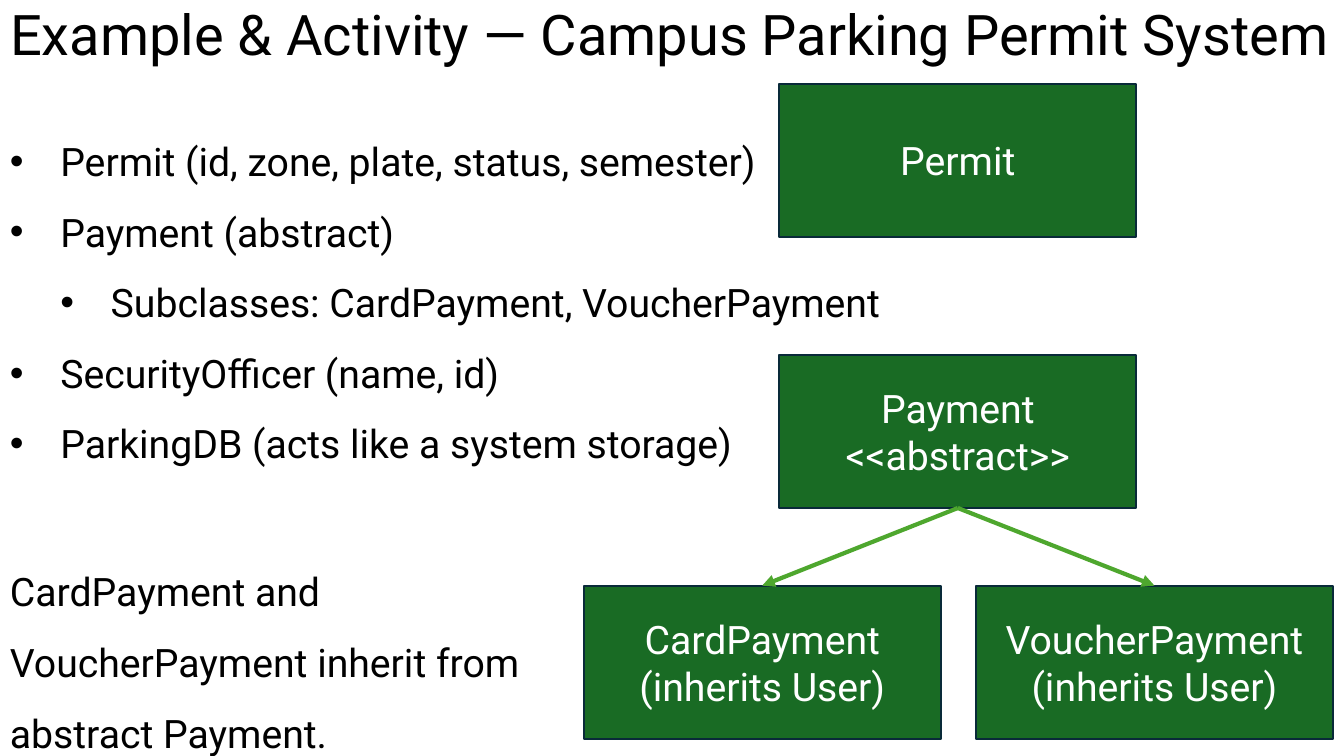
from lxml import etree
from pptx import Presentation
from pptx import util as u
from pptx.dml.color import RGBColor
from pptx.enum import shapes, text
from pptx.oxml import ns

COLORS = {"text": "000000", "box": "196B24", "edge": "092A39",
          "label": "FFFFFF", "arrow": "4EA72E"}
FONT = "Roboto"
BOX_W, BOX_H = 3.54, 1.52
TOP, BOTTOM = 0, 2

CLASSES = [
    ("Permit (id, zone, plate, status, semester)", 0),
    ("Payment (abstract)", 0),
    ("Subclasses: CardPayment, VoucherPayment", 1),
    ("SecurityOfficer (name, id)", 0),
    ("ParkingDB (acts like a system storage)", 0),
]


def rgb(name):
    return RGBColor.from_string(COLORS[name])


def add_run(p, content, color="text", size=28):
    r = p.add_run()
    r.text = content
    r.font.name = FONT
    r.font.size = u.Pt(size)
    r.font.color.rgb = rgb(color)


def add_bullet(p, level):
    p.level = level
    pPr = p._p.get_or_add_pPr()
    pPr.set("marL", str(u.Inches(0.5 * (level + 1))))
    pPr.set("indent", str(u.Inches(-0.5)))
    etree.SubElement(pPr, ns.qn("a:buFont")).set("typeface", "Arial")
    etree.SubElement(pPr, ns.qn("a:buChar")).set("char", "•")


def place_title(s, left, top, width, height, content):
    sp = s.shapes.title
    sp.left, sp.top = u.Inches(left), u.Inches(top)
    sp.width, sp.height = u.Inches(width), u.Inches(height)
    tf = sp.text_frame
    tf.auto_size = text.MSO_AUTO_SIZE.NONE
    tf.vertical_anchor = text.MSO_ANCHOR.BOTTOM
    p = tf.paragraphs[0]
    p.alignment = text.PP_ALIGN.LEFT
    p.line_spacing = 0.9
    add_run(p, content, size=40)


def add_text(s, left, top, width, height, items):
    sp = s.shapes.add_textbox(*map(u.Inches, (left, top, width, height)))
    tf = sp.text_frame
    tf.word_wrap = True
    tf.auto_size = text.MSO_AUTO_SIZE.SHAPE_TO_FIT_TEXT
    for i, (content, level) in enumerate(items):
        p = tf.add_paragraph() if i else tf.paragraphs[0]
        if level is not None:
            add_bullet(p, level)
        p.line_spacing = 1.5
        add_run(p, content)


def add_class_box(s, left, top, *lines):
    sp = s.shapes.add_shape(shapes.MSO_SHAPE.RECTANGLE,
                            *map(u.Inches, (left, top, BOX_W, BOX_H)))
    sp.shadow.inherit = False
    sp.fill.solid()
    sp.fill.fore_color.rgb = rgb("box")
    sp.line.color.rgb = rgb("edge")
    sp.line.width = u.Pt(1.5)
    tf = sp.text_frame
    tf.word_wrap = True
    tf.vertical_anchor = text.MSO_ANCHOR.MIDDLE
    p = tf.paragraphs[0]
    p.alignment = text.PP_ALIGN.CENTER
    for i, line in enumerate(lines):
        if i:
            p.add_line_break()
        add_run(p, line, "label")
    return sp


def add_arrow(s, parent, child):
    line = s.shapes.add_connector(shapes.MSO_CONNECTOR.STRAIGHT, 0, 0, 0, 0)
    line.begin_connect(parent, BOTTOM)
    line.end_connect(child, TOP)
    line.line.color.rgb = rgb("arrow")
    line.line.width = u.Pt(3)
    ln = line.line._get_or_add_ln()
    etree.SubElement(ln, ns.qn("a:tailEnd")).set("type", "triangle")
    etree.SubElement(line._element.spPr, ns.qn("a:effectLst"))


def add_class_diagram(s, left, top):
    parent_left = left + 1.94
    add_class_box(s, parent_left, top, "Permit")
    payment = add_class_box(s, parent_left, top + 2.69, "Payment", "<<abstract>>")
    for offset, name in ((0, "CardPayment"), (3.89, "VoucherPayment")):
        child = add_class_box(s, left + offset, top + 4.98, name, "(inherits User)")
        add_arrow(s, payment, child)


def main():
    prs = Presentation()
    prs.slide_width, prs.slide_height = u.Inches(13.33), u.Inches(7.5)
    s = prs.slides.add_slide(prs.slide_layouts[5])
    place_title(s, 0, 0, 13.33, 0.72,
                "Example & Activity — Campus Parking Permit System")
    add_text(s, 0, 1.08, 13.33, 3.56, CLASSES)
    add_class_diagram(s, 5.79, 0.83)
    add_text(s, 0, 5.35, 5.72, 2.15, [
        ("CardPayment and VoucherPayment inherit from abstract Payment.", None)])
    prs.save("out.pptx")


if __name__ == "__main__":
    main()
